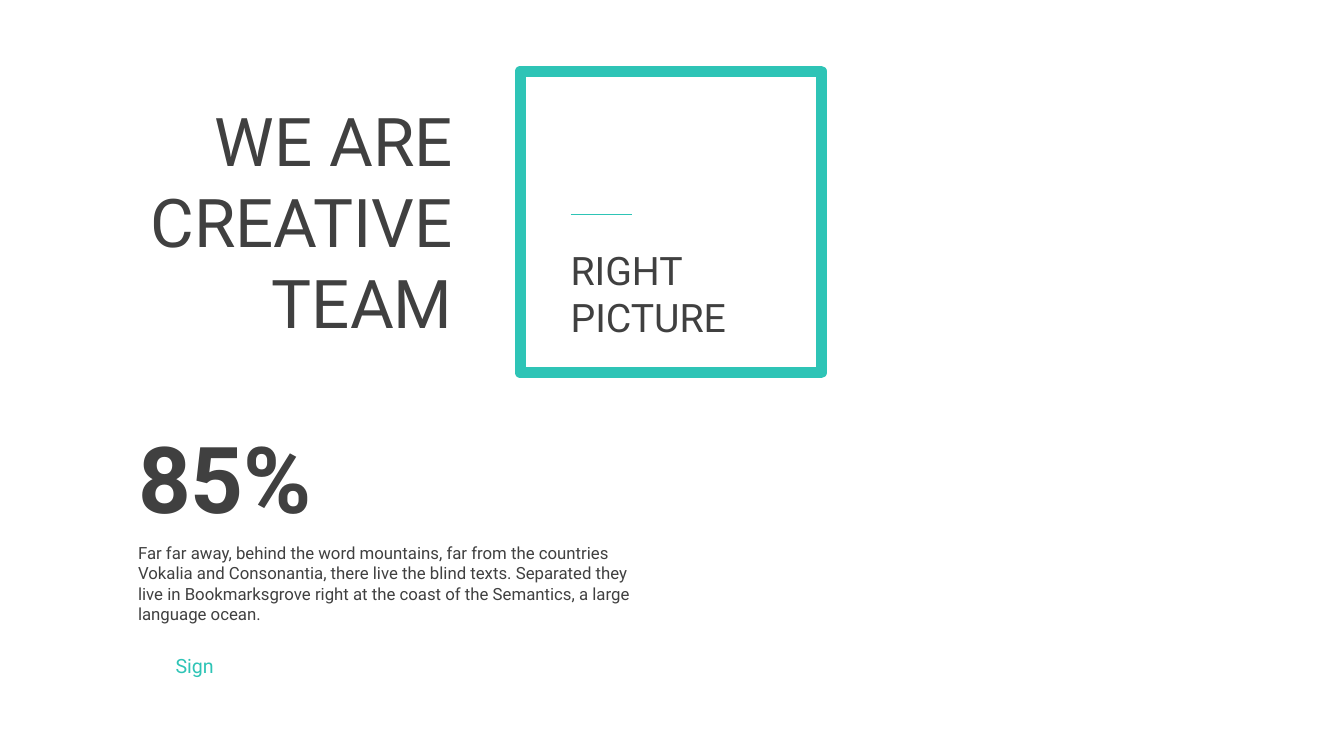
from lxml import etree
from pptx import Presentation
from pptx.dml.color import RGBColor
from pptx.enum.shapes import MSO_CONNECTOR, MSO_SHAPE
from pptx.enum.text import MSO_AUTO_SIZE, PP_ALIGN
from pptx.oxml.ns import qn
from pptx.util import Cm, Pt

TEAL = RGBColor(0x2E, 0xC4, 0xB6)
GREY = RGBColor(0x40, 0x40, 0x40)
FONT = "Roboto"
LEFT, RIGHT = PP_ALIGN.LEFT, PP_ALIGN.RIGHT
GROW = MSO_AUTO_SIZE.SHAPE_TO_FIT_TEXT
RECT = MSO_SHAPE.RECTANGLE
LINE = MSO_CONNECTOR.STRAIGHT


def add_text(slide, box, lines, size, color=GREY, align=LEFT, bold=False, wrap=False):
    """Place a text box with one paragraph per line."""
    frame = slide.shapes.add_textbox(*map(Cm, box)).text_frame
    frame.word_wrap = wrap
    frame.auto_size = GROW
    frame.text = "\n".join(lines)
    for para in frame.paragraphs:
        para.alignment = align
        para.font.name = FONT
        para.font.size = Pt(size)
        para.font.bold = bold
        para.font.color.rgb = color


def add_title(slide, box):
    """Write the large heading, set flush right."""
    add_text(slide, box, ["WE ARE", "CREATIVE", "TEAM"], 48, align=RIGHT)


def add_frame(slide, box):
    """Draw the teal square with its short rule and caption."""
    left, top, width, height = box
    square = slide.shapes.add_shape(RECT, *map(Cm, box))
    square.shadow.inherit = False
    square.fill.background()
    square.line.color.rgb = TEAL
    square.line.width = Pt(8)

    start, level = left + 1.27, top + 3.61
    ends = (start, level, start + 1.55, level)
    rule = slide.shapes.add_connector(LINE, *map(Cm, ends))
    rule.line.color.rgb = TEAL
    rule.line.width = Pt(0.5)
    etree.SubElement(rule.element.spPr, qn("a:effectLst"))

    add_text(slide, (left + 1.02, top + 4.27, 4.9, 2.64), ["RIGHT", "PICTURE"], 28)


def add_figure(slide, box):
    """Stack the percentage, its description and the sign label."""
    left, top, width, height = box
    add_text(slide, (left, top, 5.21, 3.07), ["85%"], 66, bold=True)
    story = (
        "Far far away, behind the word mountains, far from the countries "
        "Vokalia and Consonantia, there live the blind texts. Separated they "
        "live in Bookmarksgrove right at the coast of the Semantics, a large "
        "language ocean."
    )
    add_text(slide, (left, top + 3.07, width, 2.31), [story], 12, wrap=True)
    sign = (left + 0.91, top + height - 0.86, 1.5, 0.86)
    add_text(slide, sign, ["Sign"], 14, TEAL, RIGHT)


def main():
    """Build the slide and save it."""
    deck = Presentation()
    deck.slide_width, deck.slide_height = Cm(33.87), Cm(19.05)
    slide = deck.slides.add_slide(deck.slide_layouts[6])
    add_frame(slide, (13.11, 1.8, 7.59, 7.59))
    add_figure(slide, (3.23, 10.49, 13.44, 6.73))
    add_title(slide, (2.72, 2.39, 8.94, 6.4))
    deck.save("out.pptx")


if __name__ == "__main__":
    main()
